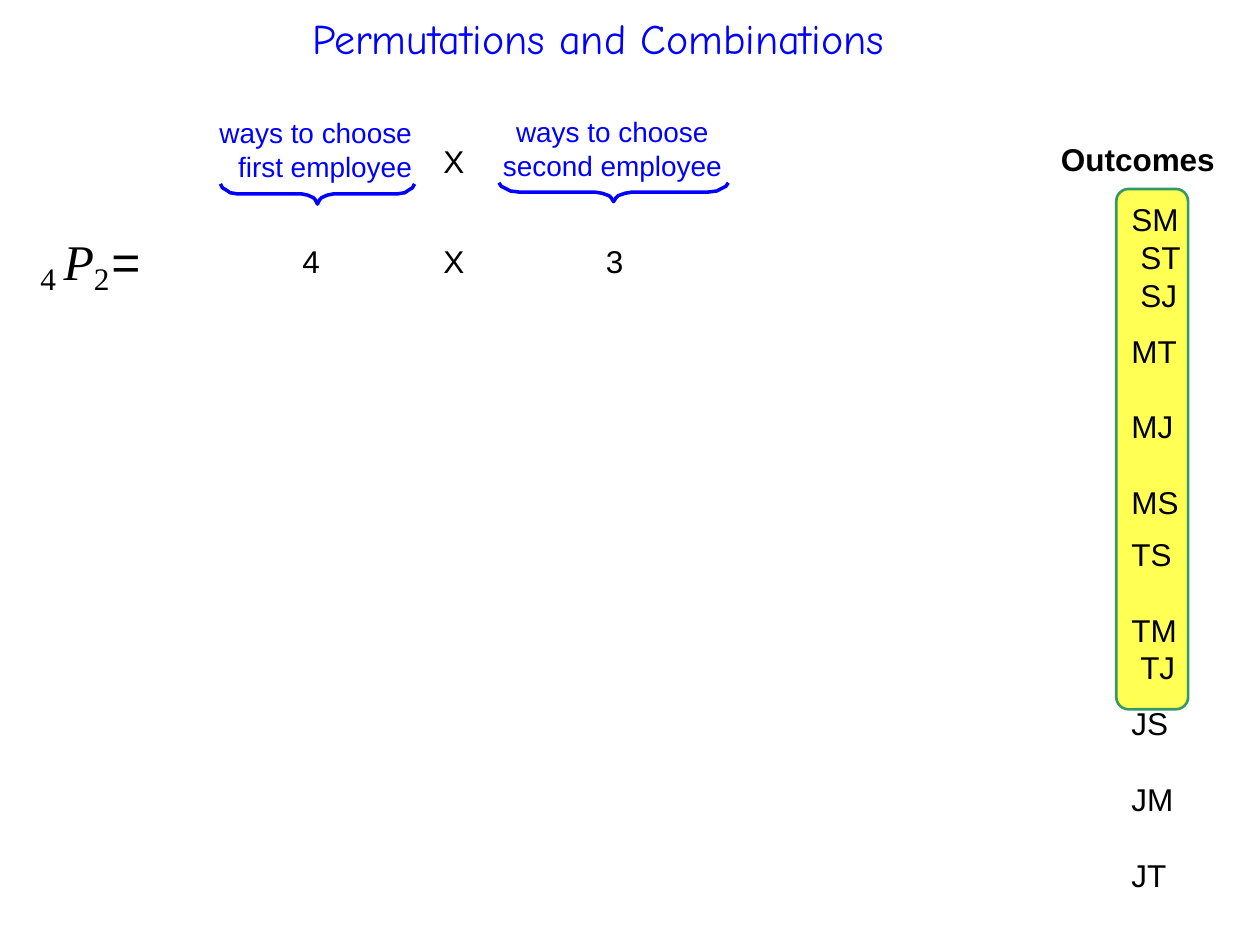
"""Build the slide that counts permutations of two employees out of four."""
import dataclasses

import pptx
import pptx.dml.color
import pptx.enum.shapes
import pptx.enum.text
import pptx.util

ALIGN = pptx.enum.text.PP_ALIGN
COLS, ROWS = 100, 75


@dataclasses.dataclass(frozen=True)
class Theme:
    """Hold the colours, fonts and type sizes."""
    ink: str = "000000"
    blue: str = "0000FF"
    yellow: str = "FFFF00"
    green: str = "339966"
    body: str = "Arial"
    display: str = "Comic Neue"
    math: str = "Times New Roman"
    title_size: float = 24
    body_size: float = 18
    label_size: float = 16
    symbol_size: float = 28.5
    index_size: float = 30.8
    leading: float = 1.2


THEME = Theme()
HALF_BRACE = [(0, 0), (0.01, 0.19), (0.03, 0.31), (0.05, 0.44), (0.09, 0.5),
              (0.42, 0.5), (0.45, 0.56), (0.48, 0.69), (0.49, 0.81), (0.5, 1)]
OUTCOMES = [("SM", 0, 0), ("ST", 0, 0.07), ("SJ", 0, 0.07),
            ("MT", 10.4, 0), ("MJ", 21.6, 0), ("MS", 21.6, 0),
            ("TS", 8.1, 0), ("TM", 21.6, 0), ("TJ", 0, 0.07),
            ("JS", 10.4, 0), ("JM", 21.6, 0), ("JT", 21.6, 0)]


def rgb(value):
    """Turn a hex string into a colour."""
    return pptx.dml.color.RGBColor.from_string(value)


def grid(prs, col, row, width, height):
    """Convert grid columns and rows to slide lengths."""
    dx, dy = prs.slide_width / COLS, prs.slide_height / ROWS
    return [round(v) for v in (col * dx, row * dy, width * dx, height * dy)]


def set_font(font, size, color=THEME.ink, name=THEME.body, bold=False):
    """Format one font."""
    font.size, font.name, font.bold = pptx.util.Pt(size), name, bold
    font.color.rgb = rgb(color)


def plain_frame(sp):
    """Strip the margins of a text shape and return its frame."""
    tf = sp.text_frame
    tf.margin_left = tf.margin_right = tf.margin_bottom = 0
    tf.margin_top = pptx.util.Inches(0.01)
    tf.word_wrap = True
    tf.auto_size = pptx.enum.text.MSO_AUTO_SIZE.NONE
    tf.vertical_anchor = pptx.enum.text.MSO_ANCHOR.TOP
    return tf


def add_title(prs, s, text):
    """Place and format the slide title."""
    sp = s.shapes.title
    sp.left, sp.top, sp.width, sp.height = grid(prs, 24.8, 0.9, 48.4, 4.3)
    tf = plain_frame(sp)
    tf.text = text
    p = tf.paragraphs[0]
    p.alignment = ALIGN.LEFT
    set_font(p.font, THEME.title_size, THEME.blue, THEME.display)


def add_text(prs, s, box, lines, size=THEME.body_size, color=THEME.ink,
             bold=False, align=ALIGN.LEFT):
    """Add a text box with one paragraph a line."""
    tf = plain_frame(s.shapes.add_textbox(*grid(prs, *box)))
    tf.text = "\n".join(lines)
    for p in tf.paragraphs:
        p.alignment = align
        if len(lines) > 1:
            p.line_spacing = pptx.util.Pt(size * THEME.leading)
        set_font(p.font, size, color, bold=bold)
    return tf


def add_outcomes(prs, s):
    """Add the highlighted list of ordered pairs."""
    kind = pptx.enum.shapes.MSO_SHAPE.ROUNDED_RECTANGLE
    sp = s.shapes.add_shape(kind, *grid(prs, 88.6, 15, 5.7, 41.3))
    sp.shadow.inherit = False
    sp.adjustments[0] = 0.17
    sp.fill.solid()
    sp.fill.fore_color.rgb = rgb(THEME.yellow)
    color = sp.fill._xPr.find(".//" + pptx.oxml.ns.qn("a:srgbClr"))
    pptx.oxml.xmlchemy.OxmlElement("a:alpha")
    alpha = pptx.oxml.xmlchemy.OxmlElement("a:alpha")
    alpha.set("val", "67000")
    color.append(alpha)
    sp.line.color.rgb = rgb(THEME.green)
    sp.line.width = pptx.util.Pt(1.5)
    tf = add_text(prs, s, (89.8, 15.8, 4.2, 56), [o[0] for o in OUTCOMES])
    for p, (_, gap, indent) in zip(tf.paragraphs, OUTCOMES):
        p.space_before = pptx.util.Pt(gap)
        p._p.get_or_add_pPr().set("marL", str(pptx.util.Inches(indent)))
    add_text(prs, s, (84.2, 11, 13, 3.3), ["Outcomes"], bold=True)


def add_formula(prs, s):
    """Add the permutation symbol with its two indices."""
    tf = plain_frame(s.shapes.add_textbox(*grid(prs, 3.2, 17.9, 10, 5)))
    p = tf.paragraphs[0]
    index, symbol = THEME.index_size, THEME.symbol_size
    for text, size, name, base, spacing in (
            ("4 ", index, THEME.math, -19, -0.1),
            ("P", symbol, THEME.math, 0, -2.3),
            ("2 ", index, THEME.math, -19, -3.5),
            ("=", symbol, THEME.body, 0, 0)):
        r = p.add_run()
        r.text = text
        set_font(r.font, size, name=name)
        r.font.italic = text == "P"
        r._r.get_or_add_rPr().set("baseline", str(base * 1000))
        r._r.get_or_add_rPr().set("spc", str(round(spacing * 100)))


def add_brace(prs, s, col, row, width, height):
    """Draw a downward brace mirrored about its middle."""
    left, top, w, h = grid(prs, col, row, width, height)
    mirrored = [(1 - x, y) for x, y in reversed(HALF_BRACE[:-1])]
    points = [(left + x * w, top + y * h) for x, y in HALF_BRACE + mirrored]
    pen = s.shapes.build_freeform(*map(round, points[0]))
    pen.add_line_segments(points[1:], close=False)
    sp = pen.convert_to_shape()
    sp.shadow.inherit = False
    sp.fill.background()
    sp.line.color.rgb = rgb(THEME.blue)
    sp.line.width = pptx.util.Pt(2)


def add_factor(prs, s, box, brace, which, align):
    """Add a label for one choice above its brace."""
    add_text(prs, s, box, ["ways to choose", f"{which} employee"],
             THEME.label_size, THEME.blue, align=align)
    add_brace(prs, s, *brace)


def main():
    """Build and save the slide."""
    prs = pptx.Presentation()
    prs.slide_width, prs.slide_height = pptx.util.Inches(10), pptx.util.Inches(7.5)
    s = prs.slides.add_slide(prs.slide_layouts[5])
    add_title(prs, s, "Permutations and Combinations")
    add_outcomes(prs, s)
    add_formula(prs, s)
    add_factor(prs, s, (16.3, 9.1, 16.4, 5.6), (17.5, 14.6, 15.4, 1.6),
               "first", ALIGN.RIGHT)
    add_factor(prs, s, (39.6, 9, 18, 5.6), (39.6, 14.5, 18.2, 1.5),
               "second", ALIGN.CENTER)
    for text, col, row in (("X", 35.2, 11.2), ("4", 24, 19.1),
                           ("X", 35.2, 19.1), ("3", 48.1, 19.1)):
        add_text(prs, s, (col, row, 2, 3.3), [text])
    prs.save("out.pptx")


if __name__ == "__main__":
    main()
